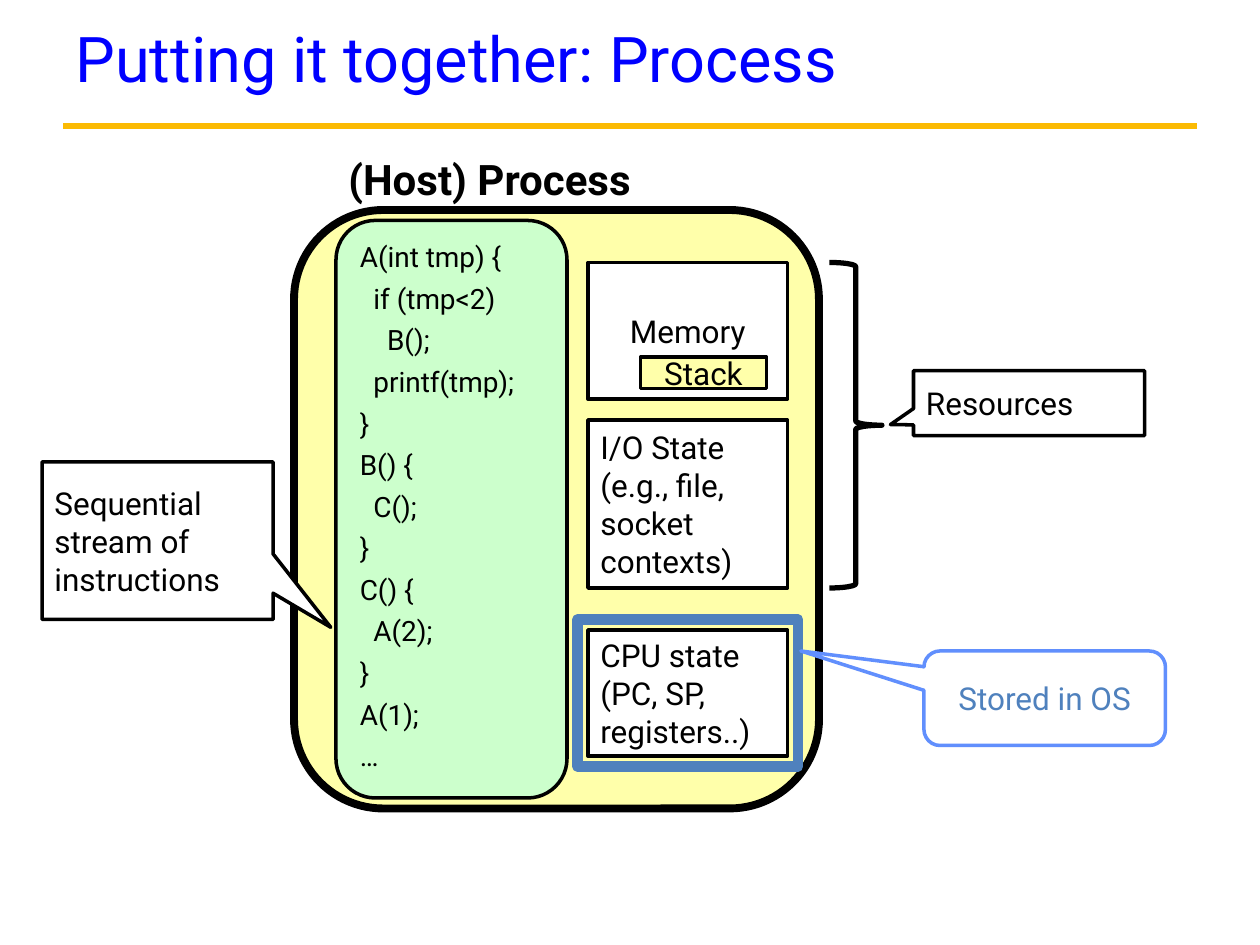
from pptx import Presentation
from pptx.dml.color import RGBColor
from pptx.enum.shapes import MSO_CONNECTOR, MSO_SHAPE
from pptx.enum.text import MSO_ANCHOR, PP_ALIGN
from pptx.oxml.ns import qn
from pptx.util import Emu, Pt
from lxml.etree import SubElement

PX = 7620  # 120 px to the inch
FONT = "Roboto"
BLACK = RGBColor(0x00, 0x00, 0x00)
WHITE = RGBColor(0xFF, 0xFF, 0xFF)
TITLE_BLUE = RGBColor(0x00, 0x00, 0xFF)
GOLD = RGBColor(0xFB, 0xBA, 0x03)
YELLOW = RGBColor(0xFF, 0xFF, 0xAA)
GREEN = RGBColor(0xCC, 0xFF, 0xCC)
STEEL = RGBColor(0x4F, 0x81, 0xBD)
SKY = RGBColor(0x61, 0x8F, 0xFD)

INDENT = 13  # one level of code indent
# Each code line: indent level, text
CODE = [
    (0, "A(int tmp) {"), (1, "if (tmp<2)"), (2, "B();"), (1, "printf(tmp);"),
    (0, "}"), (0, "B() {"), (1, "C();"), (0, "}"), (0, "C() {"),
    (1, "A(2);"), (0, "}"), (0, "A(1);"), (0, "…"),
]


def px(*lengths):
    return [Emu(n * PX) for n in lengths]


def write(sp, lines, size=18, color=BLACK, bold=False, align=PP_ALIGN.LEFT,
          wrap=True, spacing=None, before=None, levels=None):
    """Write one paragraph for each line of text."""
    tf = sp.text_frame
    tf.word_wrap = wrap
    tf.vertical_anchor = MSO_ANCHOR.MIDDLE
    for i, line in enumerate(lines):
        p = tf.add_paragraph() if i else tf.paragraphs[0]
        p.alignment = align
        if spacing:
            p.line_spacing = spacing
        if before:
            p.space_before = Pt(before)
        if levels and levels[i]:
            p._p.get_or_add_pPr().set("marL", str(levels[i] * INDENT * PX))
        r = p.add_run()
        r.text = line
        r.font.name, r.font.size, r.font.bold = FONT, Pt(size), bold
        r.font.color.rgb = color


def add_box(s, kind, box, fill=WHITE, line=BLACK, width=2, adj=()):
    sp = s.shapes.add_shape(kind, *px(*box))
    sp.shadow.inherit = False
    if fill is None:
        sp.fill.background()
    else:
        sp.fill.solid()
        sp.fill.fore_color.rgb = fill
    sp.line.color.rgb = line
    sp.line.width = Pt(width)
    for i, value in enumerate(adj):
        sp.adjustments[i] = value
    return sp


def add_header(s, x, y, w):
    title = s.shapes.add_textbox(*px(x, y, w + 40, 70))
    write(title, ["Putting it together: Process"], size=36, color=TITLE_BLUE)
    rule = s.shapes.add_connector(MSO_CONNECTOR.STRAIGHT,
                                  *px(x, y + 100, x + w, y + 100))
    rule.line.color.rgb = GOLD
    rule.line.width = Pt(3.75)
    SubElement(rule._element.spPr, qn("a:effectLst"))


def add_process(s, x, y, w, h):
    add_box(s, MSO_SHAPE.ROUNDED_RECTANGLE, (x, y, w, h), YELLOW, width=4.5,
            adj=[0.17])
    label = s.shapes.add_textbox(*px(x + 40, y - 60, 307, 61))
    write(label, ["(Host) Process"], size=24, bold=True, wrap=False)

    # Code
    code = add_box(s, MSO_SHAPE.ROUNDED_RECTANGLE,
                   (x + 40, y + 10, 220, h - 20), GREEN, adj=[0.17])
    levels, lines = zip(*CODE)
    write(code, lines, size=16, spacing=0.8, before=8.4, levels=levels)

    # State boxes: top, height, text, alignment
    for top, height, lines, align in [
        (50, 130, ["Memory"], PP_ALIGN.CENTER),
        (200, 160, ["I/O State", "(e.g., file, socket contexts)"], PP_ALIGN.LEFT),
        (400, 120, ["CPU state (PC, SP, registers..)"], PP_ALIGN.LEFT),
    ]:
        state = add_box(s, MSO_SHAPE.RECTANGLE, (x + 280, y + top, 190, height))
        write(state, lines, align=align)
    stack = add_box(s, MSO_SHAPE.RECTANGLE, (x + 330, y + 140, 120, 30), YELLOW)
    write(stack, ["Stack"], align=PP_ALIGN.CENTER)


def add_stream_note(s, *box):
    note = add_box(s, MSO_SHAPE.RECTANGULAR_CALLOUT, box, adj=[0.75, 0.55])
    write(note, ["Sequential stream of instructions"])


def add_resources(s, x, y, h):
    add_box(s, MSO_SHAPE.RIGHT_BRACE, (x, y, 50, h), width=3, adj=[0.08, 0.5])
    note = add_box(s, MSO_SHAPE.RECTANGULAR_CALLOUT,
                   (x + 80, y + 103, 220, 62), adj=[-0.6, 0.33])
    write(note, ["Resources"])


def add_stored_in_os(s, x, y, w, h):
    add_box(s, MSO_SHAPE.RECTANGLE, (x, y, w, h), None, STEEL, 6)
    note = add_box(s, MSO_SHAPE.ROUNDED_RECTANGULAR_CALLOUT,
                   (x + w + 120, y + 30, 230, 90), line=SKY,
                   adj=[-1.01, -0.5, 0.17])
    write(note, ["Stored in OS"], color=STEEL, align=PP_ALIGN.CENTER)


def main():
    prs = Presentation()
    prs.slide_width, prs.slide_height = px(1200, 900)
    s = prs.slides.add_slide(prs.slide_layouts[6])
    add_header(s, 60, 20, 1080)
    add_process(s, 280, 200, 500, 570)
    add_stream_note(s, 40, 440, 220, 150)
    add_resources(s, 790, 250, 310)
    add_stored_in_os(s, 550, 590, 210, 140)
    prs.save("out.pptx")


if __name__ == "__main__":
    main()
